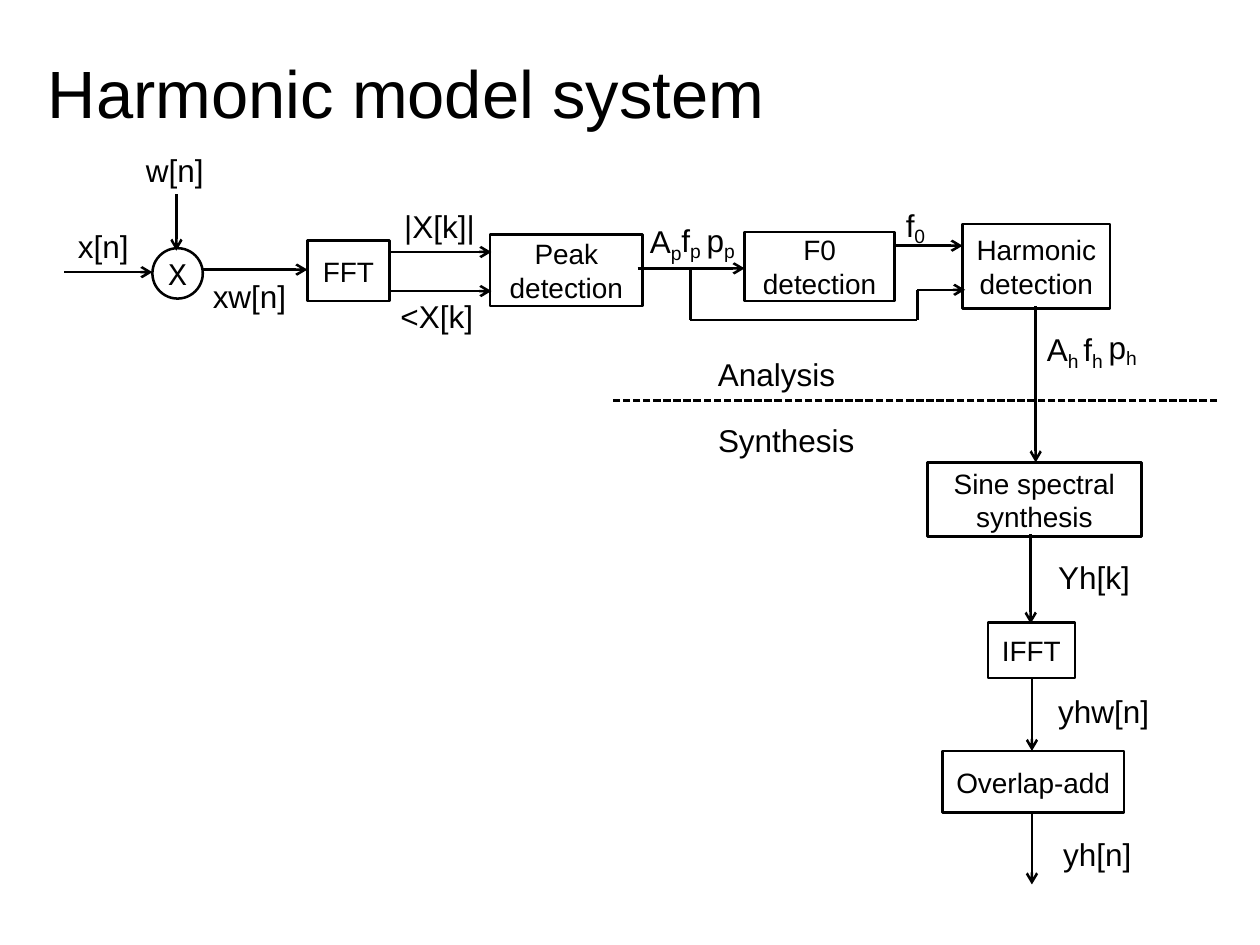
from lxml import etree
from pptx import Presentation
from pptx.dml.color import RGBColor
from pptx.enum.dml import MSO_LINE
from pptx.enum.shapes import MSO_CONNECTOR, MSO_SHAPE
from pptx.enum.text import MSO_ANCHOR, MSO_AUTO_SIZE, PP_ALIGN
from pptx.oxml.ns import qn
from pptx.util import Inches, Pt

RECT, OVAL = MSO_SHAPE.RECTANGLE, MSO_SHAPE.OVAL
STRAIGHT = MSO_CONNECTOR.STRAIGHT
DASH = MSO_LINE.SQUARE_DOT
MIDDLE = MSO_ANCHOR.MIDDLE
CENTER = PP_ALIGN.CENTER
GROW = MSO_AUTO_SIZE.SHAPE_TO_FIT_TEXT
BLACK = "000000"
LINE_WIDTH = Pt(1.45)


def color(value):
    return RGBColor.from_string(value)


def style(font, size, name="Arial"):
    font.name = name
    font.size = Pt(size)
    font.color.rgb = color(BLACK)


def set_insets(tf, inset):
    tf.margin_left = tf.margin_right = tf.margin_top = tf.margin_bottom = Inches(inset)


def place(origin, x, y):
    return Inches(origin[0] + x), Inches(origin[1] + y)


def add_block(s, origin, x, y, w, h, text, kind=RECT):
    sp = s.shapes.add_shape(kind, *place(origin, x, y), Inches(w), Inches(h))
    sp.shadow.inherit = False
    sp.fill.background()
    sp.line.color.rgb = color(BLACK)
    sp.line.width = LINE_WIDTH
    tf = sp.text_frame
    tf.text = text
    tf.word_wrap = kind == RECT
    tf.vertical_anchor = MIDDLE
    if kind == OVAL:
        set_insets(tf, 0)
    for p in tf.paragraphs:
        p.alignment = CENTER
        for r in p.runs:
            if kind == OVAL:
                style(r.font, 18, "Courier New")
            else:
                style(r.font, 16)


def add_label(s, origin, x, y, w, text, sub=""):
    sp = s.shapes.add_textbox(*place(origin, x, y), Inches(w), Inches(0.41 if sub else 0.38))
    tf = sp.text_frame
    tf.word_wrap = True
    tf.auto_size = GROW
    tf.margin_right = Inches(0)
    p = tf.paragraphs[0]
    p.text = text
    style(p.runs[0].font, 18)
    if sub:
        r = p.add_run()
        r.text = sub
        style(r.font, 18.9)
        r._r.get_or_add_rPr().set("baseline", "-20000")


def add_line(s, origin, start, end, arrow=True):
    cx = s.shapes.add_connector(STRAIGHT, *place(origin, *start), *place(origin, *end))
    cx.line.color.rgb = color(BLACK)
    cx.line.width = LINE_WIDTH
    if arrow:
        etree.SubElement(cx.get_or_add_ln(), qn("a:tailEnd"), type="arrow")
    etree.SubElement(cx._element.spPr, qn("a:effectLst"))
    return cx


def add_title(s, x, y, w, h):
    tf = s.shapes.add_textbox(Inches(x), Inches(y), Inches(w), Inches(h)).text_frame
    tf.word_wrap = True
    tf.vertical_anchor = MIDDLE
    set_insets(tf, 0)
    tf.text = "Harmonic model system"
    style(tf.paragraphs[0].runs[0].font, 38.2)


def add_analysis(s, origin):
    add_block(s, origin, 0.71, 0.82, 0.4, 0.4, "X", OVAL)
    for block in [
        (1.94, 0.76, 0.65, 0.48, "FFT"),
        (3.39, 0.71, 1.21, 0.57, "Peak detection"),
        (5.41, 0.69, 1.19, 0.55, "F0\ndetection"),
        (7.14, 0.63, 1.17, 0.67, "Harmonic\ndetection"),
    ]:
        add_block(s, origin, *block)
    for x, y, end in [
        (0.01, 1.01, 0.71),
        (1.11, 0.99, 1.94),
        (2.6, 0.85, 3.4),
        (2.6, 1.16, 3.4),
        (4.56, 0.98, 5.41),
        (6.6, 0.8, 7.14),
    ]:
        add_line(s, origin, (x, y), (end, y))
    add_line(s, origin, (0.9, 0.39), (0.9, 0.84))
    bypass = [(4.98, 0.99), (4.98, 1.39), (6.78, 1.39), (6.78, 1.15), (7.16, 1.15)]
    for start, end in zip(bypass, bypass[1:]):
        add_line(s, origin, start, end, arrow=end == bypass[-1])
    for label in [
        (0.02, 0.6, 0.6, "x[n]"),
        (0.56, 0, 0.66, "w[n]"),
        (1.09, 1, 0.78, "xw[n]"),
        (2.61, 0.44, 0.76, "|X[k]|"),
        (2.58, 1.16, 0.77, "<X[k]"),
        (4.56, 0.55, 0.45, "A", "p"),
        (4.81, 0.54, 0.35, "f", "p"),
        (5.01, 0.54, 0.42, "p", "p"),
        (6.59, 0.42, 0.35, "f", "0"),
    ]:
        add_label(s, origin, *label)


def add_divider(s, origin, width):
    cx = add_line(s, origin, (width, 0.41), (0, 0.41), arrow=False)
    cx.line.dash_style = DASH
    add_label(s, origin, 0.74, 0, 1.13, "Analysis")
    add_label(s, origin, 0.74, 0.52, 1.28, "Synthesis")


def add_synthesis(s, origin):
    for block in [
        (0, 1.24, 1.7, 0.59, "Sine spectral\nsynthesis"),
        (0.48, 2.51, 0.69, 0.44, "IFFT"),
        (0.12, 3.53, 1.44, 0.49, "Overlap-add"),
    ]:
        add_block(s, origin, *block)
    for x, y, end in [
        (0.86, 0, 1.24),
        (0.82, 1.81, 2.52),
        (0.83, 2.96, 3.53),
        (0.83, 4.02, 4.59),
    ]:
        add_line(s, origin, (x, y), (x, end))
    for label in [
        (0.85, 0.13, 0.45, "A", "h"),
        (1.14, 0.13, 0.35, "f", "h"),
        (1.34, 0.11, 0.42, "p", "h"),
        (0.94, 1.95, 0.77, "Yh[k]"),
        (0.94, 3.01, 0.92, "yhw[n]"),
        (0.98, 4.15, 0.74, "yh[n]"),
    ]:
        add_label(s, origin, *label)


def main():
    prs = Presentation()
    prs.slide_width, prs.slide_height = Inches(10), Inches(7.5)
    s = prs.slides.add_slide(prs.slide_layouts[6])
    add_title(s, 0.38, 0.1, 9, 1.25)
    add_analysis(s, (0.5, 1.15))
    add_divider(s, (4.86, 2.77), 4.8)
    add_synthesis(s, (7.36, 2.43))
    prs.save("out.pptx")


if __name__ == "__main__":
    main()
